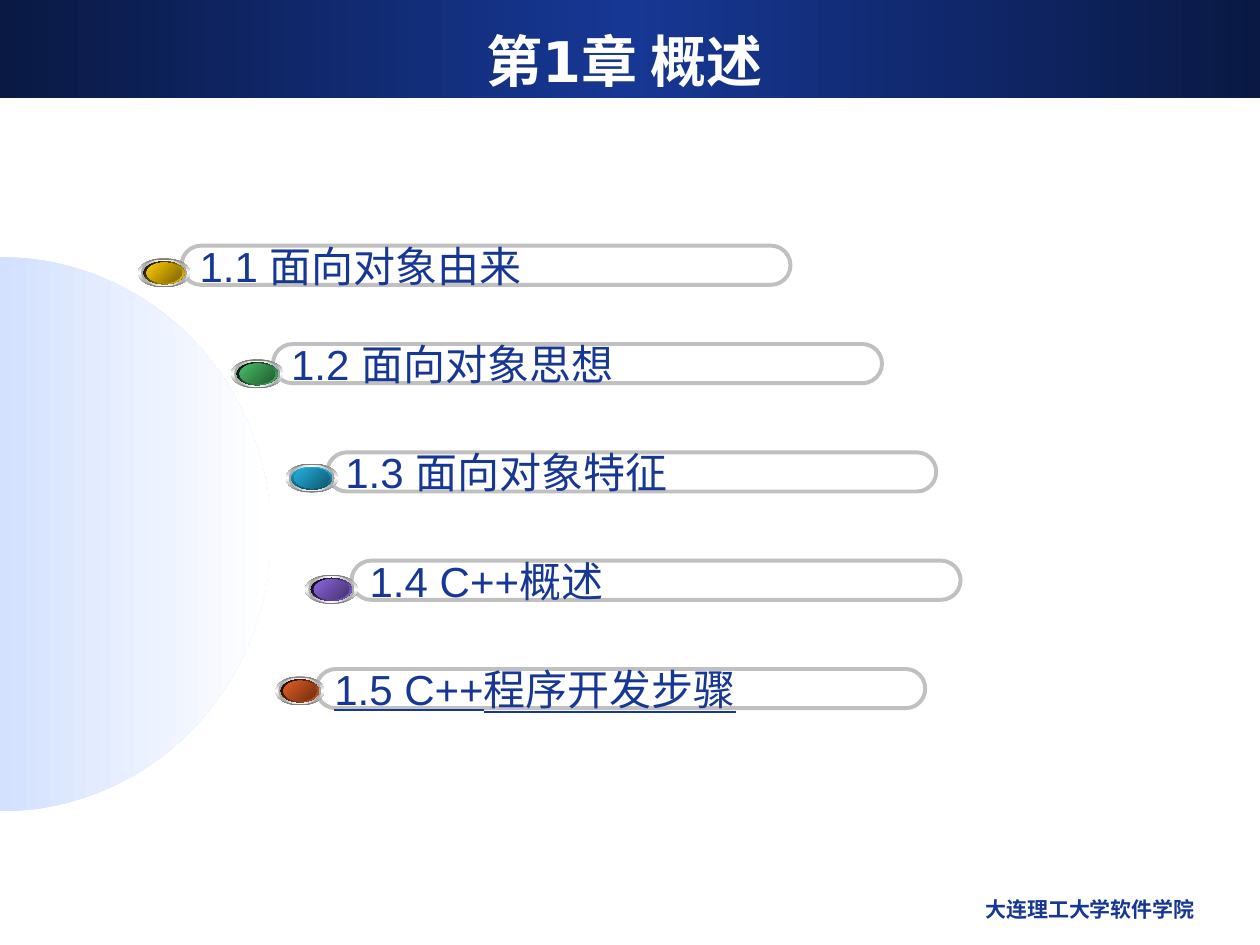
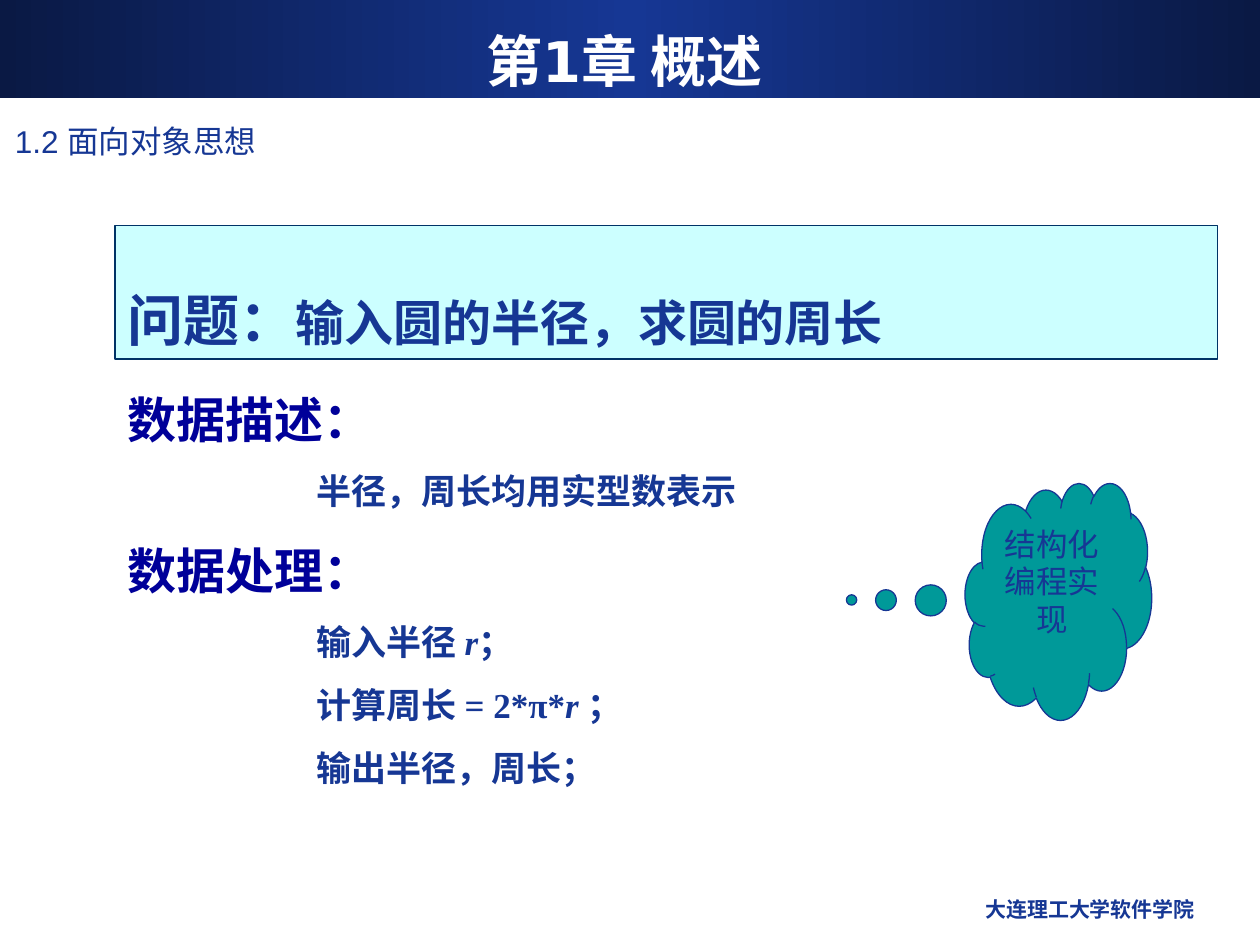
from copy import deepcopy
from math import cos, pi, sin

from pptx import Presentation
from pptx.dml.color import RGBColor
from pptx.enum.shapes import MSO_SHAPE
from pptx.enum.text import MSO_ANCHOR, PP_ALIGN
from pptx.oxml.ns import qn
from pptx.util import Pt

RECTANGLE, ROUNDED = MSO_SHAPE.RECTANGLE, MSO_SHAPE.ROUNDED_RECTANGLE
ELLIPSE, CLOUD = MSO_SHAPE.OVAL, MSO_SHAPE.CLOUD_CALLOUT
LEFT, CENTER, RIGHT, JUSTIFY = (PP_ALIGN.LEFT, PP_ALIGN.CENTER,
                                PP_ALIGN.RIGHT, PP_ALIGN.JUSTIFY)
TOP, MIDDLE = MSO_ANCHOR.TOP, MSO_ANCHOR.MIDDLE

NAVY, DARK_NAVY, WHITE, SILVER = "163794", "0A1944", "FFFFFF", "C0C0C0"
HEADING_BLUE = "000099"
SANS, TITLE_FONT, SERIF = "Arial", "DejaVu Sans", "Times New Roman"


def color(hex_string):
    return RGBColor.from_string(hex_string)


def write(paragraph, text, size=18, font=SANS, fill=NAVY, bold=False,
          italic=False, underline=False):
    """Add one formatted run to the paragraph."""
    run = paragraph.add_run()
    run.text = text
    run.font.size, run.font.name = Pt(size), font
    run.font.bold, run.font.italic = bold, italic
    run.font.underline = underline
    run.font.color.rgb = color(fill)


class Deck:
    def __init__(self):
        self.presentation = Presentation()
        self.presentation.slide_width = Pt(720)
        self.presentation.slide_height = Pt(540)
        self.slide = None

    def new_slide(self, title):
        """Start a slide with the shared band, title and footer."""
        layout = self.presentation.slide_layouts[6]
        self.slide = self.presentation.slides.add_slide(layout)
        self.shape(RECTANGLE, 0, 0, 720, 56,
                   gradient=[DARK_NAVY, NAVY, DARK_NAVY])
        self.label(title, 24, 12, 666, 44.5, align=CENTER, anchor=MIDDLE,
                   size=32, font=TITLE_FONT, fill=WHITE, bold=True)
        self.label("大连理工大学软件学院", 462, 509, 228, 25, align=RIGHT,
                   size=12, font=TITLE_FONT, bold=True)

    def paint(self, shape, fill=None, gradient=None, angle=0, line=None,
              line_width=0.75):
        shape.shadow.inherit = False
        if gradient:
            self.gradient(shape, gradient, angle)
        elif fill:
            shape.fill.solid()
            shape.fill.fore_color.rgb = color(fill)
        else:
            shape.fill.background()
        if line:
            shape.line.color.rgb = color(line)
            shape.line.width = Pt(line_width)
        else:
            shape.line.fill.background()
        return shape

    def gradient(self, shape, colors, angle):
        """Spread the colours evenly; the angle runs clockwise."""
        shape.fill.gradient()
        shape.fill.gradient_angle = -angle % 360
        stop_list = shape._element.spPr.find(qn("a:gradFill")).find(qn("a:gsLst"))
        while len(stop_list) < len(colors):
            stop_list.append(deepcopy(stop_list[0]))
        for index, (stop, value) in enumerate(
                zip(shape.fill.gradient_stops, colors)):
            stop.color.rgb = color(value)
            stop.position = index / (len(colors) - 1)

    def shape(self, kind, left, top, width, height, parent=None, **style):
        shapes = (parent or self.slide).shapes
        shape = shapes.add_shape(kind, Pt(left), Pt(top), Pt(width), Pt(height))
        return self.paint(shape, **style)

    def half_disc(self, center_y, radius_x, radius_y, colors, steps=60):
        angles = [pi * step / steps - pi / 2 for step in range(steps + 1)]
        points = [(Pt(radius_x * cos(angle)),
                   Pt(center_y + radius_y * sin(angle))) for angle in angles]
        builder = self.slide.shapes.build_freeform(*points[0])
        builder.add_line_segments(points[1:], close=True)
        self.paint(builder.convert_to_shape(), gradient=colors)

    def fill_text(self, shape, runs, align=LEFT, anchor=TOP, wrap=True,
                  spacing=None, **text_format):
        """Put one paragraph, made of (text, format) runs, into the shape."""
        frame = shape.text_frame
        frame.word_wrap, frame.vertical_anchor = wrap, anchor
        self.paragraph(frame.paragraphs[0], runs, align, spacing, **text_format)

    def paragraph(self, paragraph, runs, align=LEFT, spacing=None, indent=0,
                  **text_format):
        if indent:
            paragraph._p.get_or_add_pPr().set("marL", str(Pt(indent)))
        paragraph.alignment = align
        paragraph.line_spacing = spacing
        for text, changes in runs:
            write(paragraph, text, **{**text_format, **changes})

    def text_box(self, left, top, width, height):
        return self.slide.shapes.add_textbox(
            Pt(left), Pt(top), Pt(width), Pt(height))

    def label(self, text, left, top, width, height, **text_format):
        box = self.text_box(left, top, width, height)
        self.fill_text(box, [(text, {})], **text_format)

    def bar(self, text, left, top, underline):
        """A pill-shaped outline holding one agenda entry."""
        bar = self.shape(ROUNDED, left, top, 348, 22.4,
                         line=SILVER, line_width=2.25)
        bar.adjustments[0] = 0.5
        self.fill_text(bar, [(text, {})], anchor=MIDDLE, wrap=False,
                       size=24, underline=underline)

    def button(self, center_x, center_y, width, well, well_angle, face):
        """Four concentric ellipses: two metal rims, a well and a face."""
        group = self.slide.shapes.add_group_shape()
        rings = [(1, 16.6, ["767676", WHITE, "767676"], 90),
                 (0.88, 15.1, ["A2A2A2", WHITE, "A2A2A2"], 0),
                 (0.78, 13, well, well_angle),
                 (0.67, 11.5, face, 45)]
        for share, height, colors, angle in rings:
            ring_width = width * share
            self.shape(ELLIPSE, center_x - ring_width / 2,
                       center_y - height / 2, ring_width, height,
                       parent=group, gradient=colors, angle=angle)


def agenda_slide(deck):
    deck.new_slide("第1章 概述")
    deck.half_disc(305.3, 154.8, 158.4, ["D3E1FF", WHITE])

    # Text, bar position, button centre and width, bright and dark colour
    entries = [
        ("1.1 面向对象由来", 103.7, 140.4, 93.8, 155.9, 30, "FFCC00", "7C6300"),
        ("1.2 面向对象思想", 156, 196.6, 147, 213.6, 30, "48BE67", "235C32"),
        ("1.3 面向对象特征", 187, 258.5, 178.2, 273.2, 30, "21B3E1", "10576D"),
        ("1.4 C++概述", 200.9, 320.4, 189.4, 336.8, 30, "8D67E1", "45326D"),
        ("1.5 C++程序开发步骤", 180.7, 382.3, 171.4, 394.8, 28, "E35E23", "6E2E11"),
    ]
    for text, left, top, *_ in entries:
        deck.bar(text, left, top, underline=text.startswith("1.5"))
    for *_, center_x, center_y, width, bright, dark in entries:
        is_blue = bright == "21B3E1"
        well = [bright, "0F5368"] if is_blue else ["000000", bright]
        deck.button(center_x, center_y, width, well, 90 if is_blue else 45,
                    [bright, dark])


def problem_slide(deck):
    deck.new_slide("第1章 概述")
    deck.label("1.2 面向对象思想", 1.4, 66.2, 666, 29.5, size=18)

    # Problem statement
    problem = deck.shape(RECTANGLE, 65.7, 128.7, 630, 76.5,
                         fill="CCFFFF", line="003366")
    deck.fill_text(problem, [("问题：", {"size": 32}),
                             ("输入圆的半径，求圆的周长", {})],
                   spacing=1.8, size=28, font=SERIF, bold=True)

    # Data description and processing steps
    heading = {"size": 28, "fill": HEADING_BLUE}
    step = {"size": 20, "indent": 108}
    italic = {"italic": True}
    lines = [
        (heading, [("数据描述：", {})]),
        (step, [("半径，周长均用实型数表示", {})]),
        (heading, [("数据处理：", {})]),
        (step, [("输入半径 ", {}), ("r", italic), ("；", {})]),
        (step, [("计算周长 = 2*π*", {}), ("r ", italic), ("；", {})]),
        (step, [("输出半径，周长；", {})]),
    ]
    frame = deck.text_box(65.7, 202.3, 588, 252).text_frame
    frame.word_wrap = True
    for index, (style, runs) in enumerate(lines):
        paragraph = frame.add_paragraph() if index else frame.paragraphs[0]
        deck.paragraph(paragraph, runs, align=JUSTIFY, spacing=1.5,
                       font=SERIF, bold=True, **style)

    # Thought cloud
    cloud = deck.shape(CLOUD, 551.5, 275.8, 106.6, 135.4,
                       fill="009999", line=NAVY)
    cloud.adjustments[0], cloud.adjustments[1] = -1.109, -0.005
    deck.fill_text(cloud, [("结构化编程实现", {})], align=CENTER,
                   size=18, font=SERIF)


def main():
    deck = Deck()
    agenda_slide(deck)
    problem_slide(deck)
    deck.presentation.save("out.pptx")


if __name__ == "__main__":
    main()
